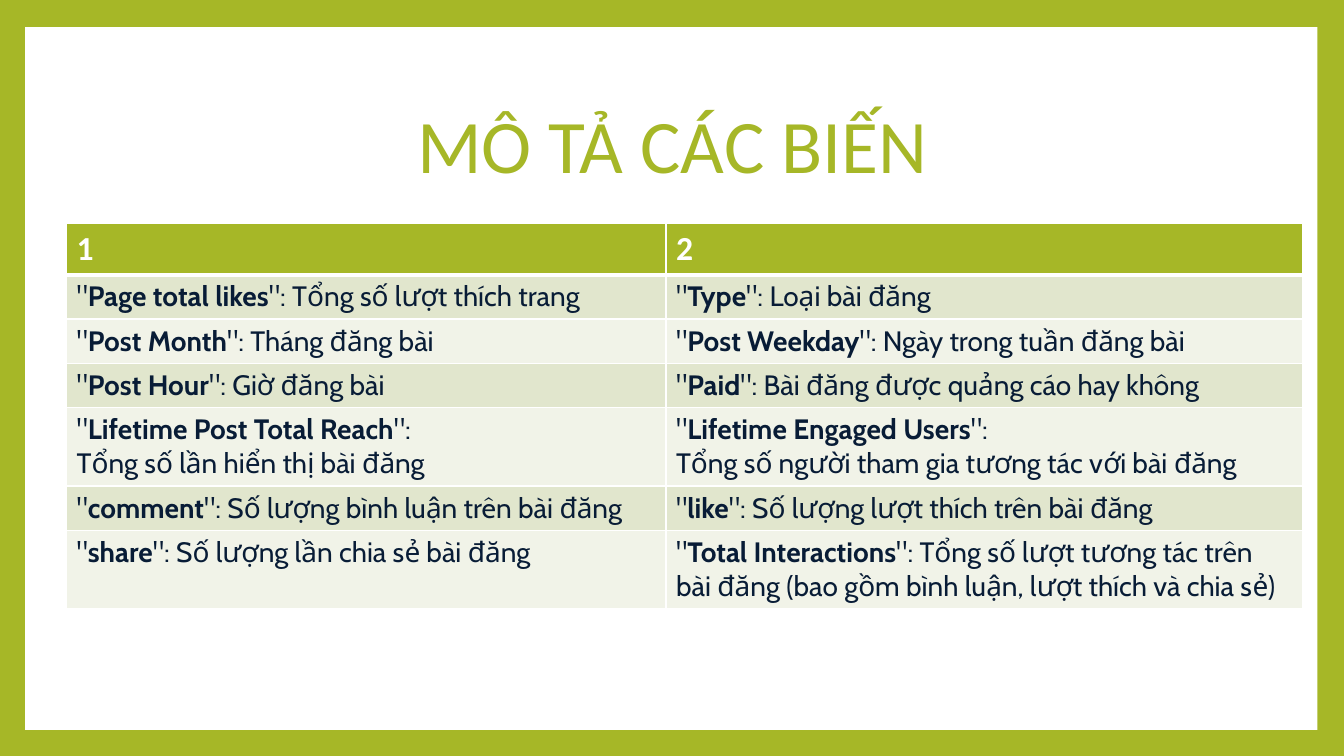
from lxml import etree
from pptx import Presentation
from pptx.dml.color import RGBColor
from pptx.enum import shapes, text
from pptx.oxml import ns
from pptx.util import Pt

LIME = RGBColor(0xA6, 0xB7, 0x27)
WHITE = RGBColor(0xFF, 0xFF, 0xFF)
NAVY = RGBColor(0x08, 0x1C, 0x36)
SAGE = RGBColor(0xE1, 0xE6, 0xCD)
PALE = RGBColor(0xF1, 0xF3, 0xE8)

HEADINGS = ("1", "2")
VARIABLES = [
    (("Page total likes", " Tổng số lượt thích trang"),
     ("Type", " Loại bài đăng")),
    (("Post Month", " Tháng đăng bài"),
     ("Post Weekday", " Ngày trong tuần đăng bài")),
    (("Post Hour", " Giờ đăng bài"),
     ("Paid", " Bài đăng được quảng cáo hay không")),
    (("Lifetime Post Total Reach", "\nTổng số lần hiển thị bài đăng"),
     ("Lifetime Engaged Users", "\nTổng số người tham gia tương tác với bài đăng")),
    (("comment", " Số lượng bình luận trên bài đăng"),
     ("like", " Số lượng lượt thích trên bài đăng")),
    (("share", " Số lượng lần chia sẻ bài đăng"),
     ("Total Interactions", " Tổng số lượt tương tác trên bài đăng "
                            "(bao gồm bình luận, lượt thích và chia sẻ)")),
]


class VariableSlide:
    title_font, body_font = "Calibri", "Cabin"

    def __init__(self, deck):
        self.slide = deck.slides.add_slide(deck.slide_layouts[5])
        fill = self.slide.background.fill
        fill.solid()
        fill.fore_color.rgb = LIME

    def run(self, paragraph, wording, font, size, color, bold=False):
        run = paragraph.add_run()
        run.text = wording
        run.font.name, run.font.size, run.font.bold = font, Pt(size), bold
        run.font.color.rgb = color

    def panel(self, left, top, width, height):
        panel = self.slide.shapes.add_shape(
            shapes.MSO_SHAPE.RECTANGLE, Pt(left), Pt(top), Pt(width), Pt(height))
        panel.shadow.inherit = False
        panel.fill.solid()
        panel.fill.fore_color.rgb = WHITE
        panel.line.fill.background()
        # The panel lies behind the title placeholder.
        tree = panel.element.getparent()
        tree.remove(panel.element)
        tree.insert(2, panel.element)

    def title(self, wording, left, top, width, height):
        title = self.slide.shapes.title
        title.left, title.top = Pt(left), Pt(top)
        title.width, title.height = Pt(width), Pt(height)
        frame = title.text_frame
        frame.word_wrap = True
        frame.vertical_anchor = text.MSO_ANCHOR.MIDDLE
        paragraph = frame.paragraphs[0]
        paragraph.alignment = text.PP_ALIGN.CENTER
        paragraph.line_spacing = 0.9
        self.run(paragraph, wording, self.title_font, 54, LIME)

    def style_cell(self, cell, color, bottom=1):
        """Give the cell white borders and a solid fill."""
        properties = cell._tc.get_or_add_tcPr()
        for side, weight in (("L", 1), ("R", 1), ("T", 1), ("B", bottom)):
            border = etree.SubElement(properties, ns.qn(f"a:ln{side}"), w=str(Pt(weight)))
            solid = etree.SubElement(border, ns.qn("a:solidFill"))
            etree.SubElement(solid, ns.qn("a:srgbClr"), val=str(WHITE))
        cell.fill.solid()
        cell.fill.fore_color.rgb = color

    def describe(self, cell, variable, meaning):
        frame = cell.text_frame
        paragraph = frame.paragraphs[0]
        first, *rest = meaning.split("\n")
        for wording, bold in (('"', False), (variable, True), ('":' + first, False)):
            self.run(paragraph, wording, self.body_font, 20, NAVY, bold)
        for line in rest:
            self.run(frame.add_paragraph(), line, self.body_font, 20, NAVY)

    def table(self, headings, variables, left, top, widths, row_height):
        rows = len(variables) + 1
        table = self.slide.shapes.add_table(
            rows, len(widths), Pt(left), Pt(top),
            Pt(sum(widths)), Pt(row_height * rows)).table
        for column, width in zip(table.columns, widths):
            column.width = Pt(width)
        for column, heading in enumerate(headings):
            cell = table.cell(0, column)
            self.style_cell(cell, LIME, bottom=3)
            self.run(cell.text_frame.paragraphs[0], heading,
                     self.title_font, 24, WHITE, True)
        for row, pair in enumerate(variables, 1):
            for column, (variable, meaning) in enumerate(pair):
                cell = table.cell(row, column)
                self.style_cell(cell, SAGE if row % 2 else PALE, 3 if row == 0 else 1)
                if row == 1:
                    top_border = cell._tc.tcPr.find(ns.qn("a:lnT"))
                    top_border.set("w", str(Pt(3)))
                self.describe(cell, variable, meaning)


def main():
    deck = Presentation()
    deck.slide_width, deck.slide_height = Pt(960), Pt(540)
    page = VariableSlide(deck)
    page.panel(18, 19.3, 923, 502)
    page.title("MÔ TẢ CÁC BIẾN", 91.4, 53.3, 777.6, 106.6)
    page.table(HEADINGS, VARIABLES, 47.5, 159.8, (428.2, 454.8), 29.5)
    deck.save("out.pptx")


if __name__ == "__main__":
    main()
